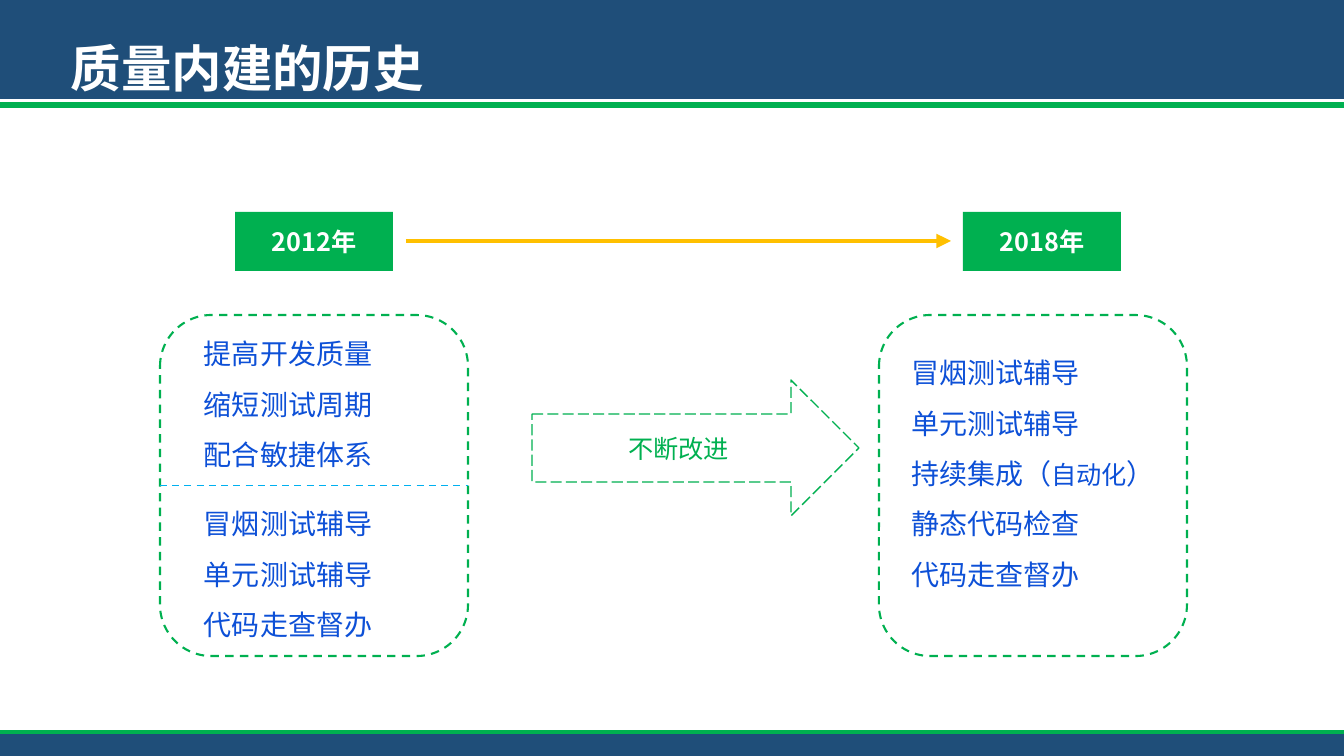
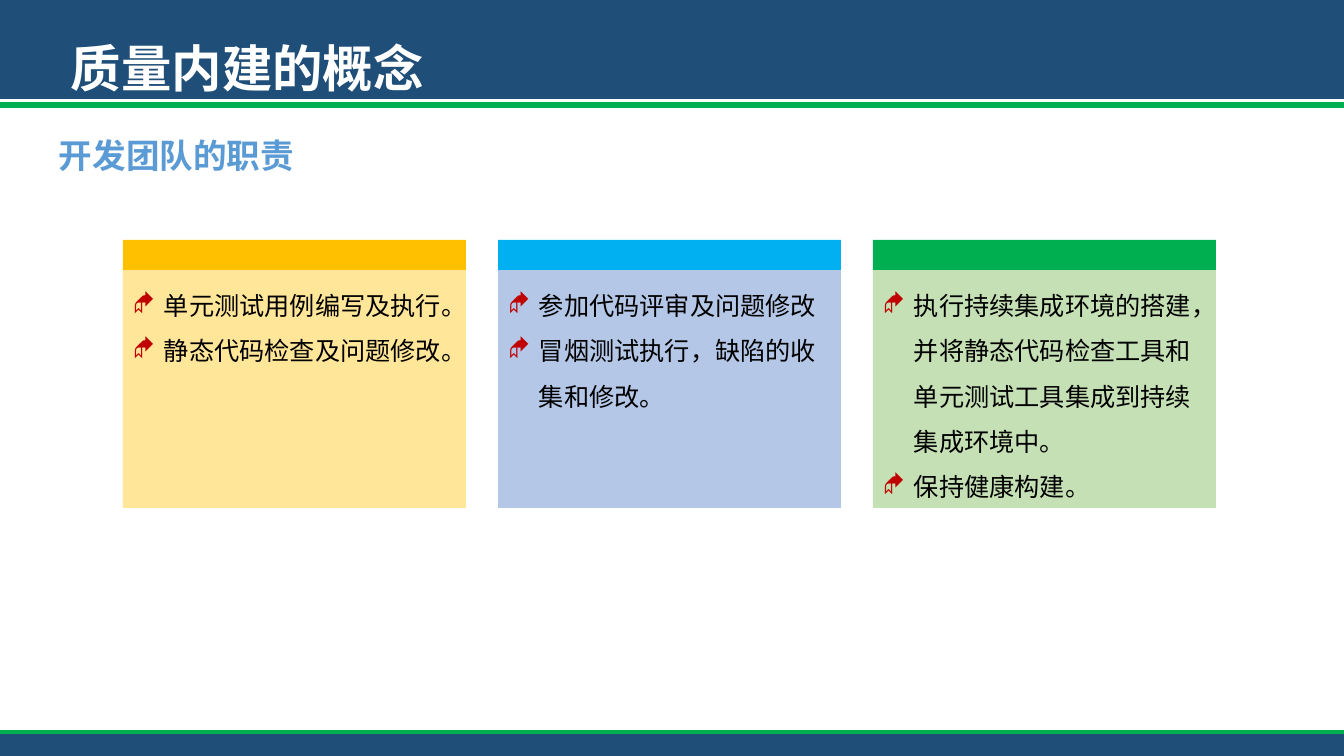
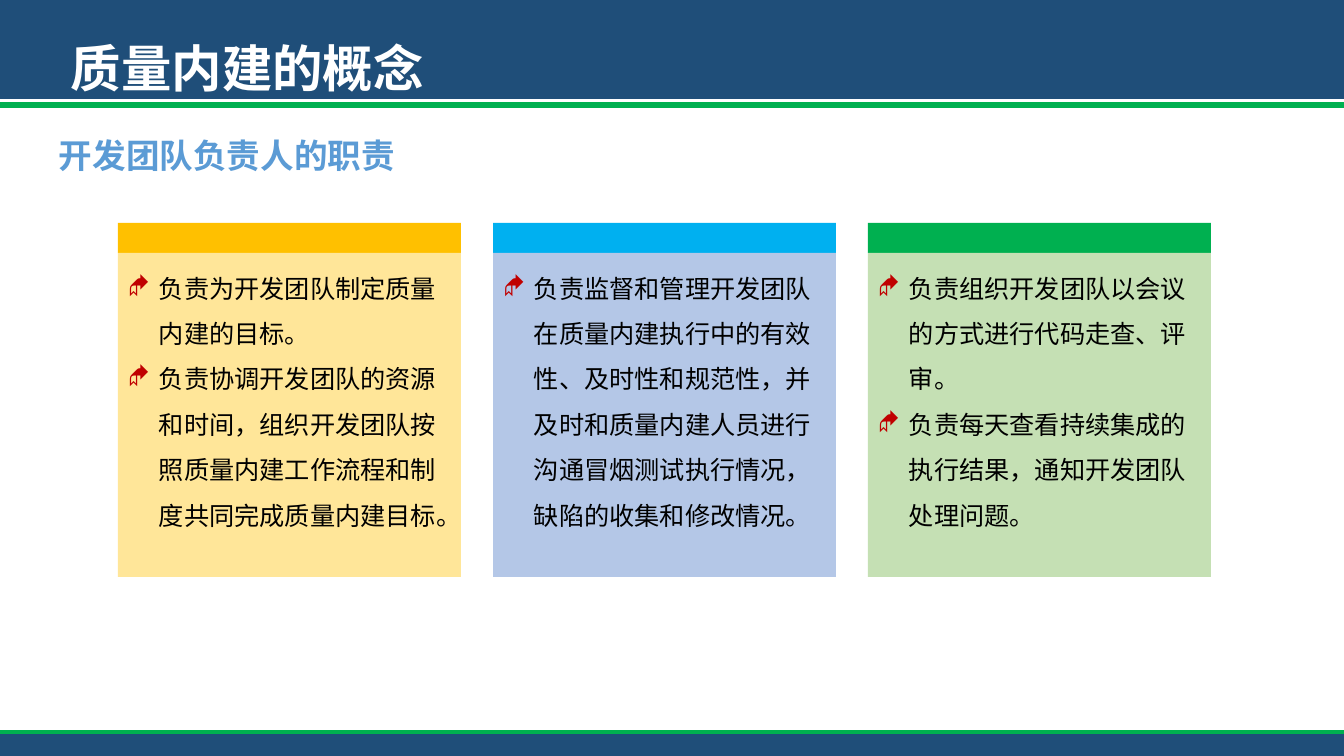
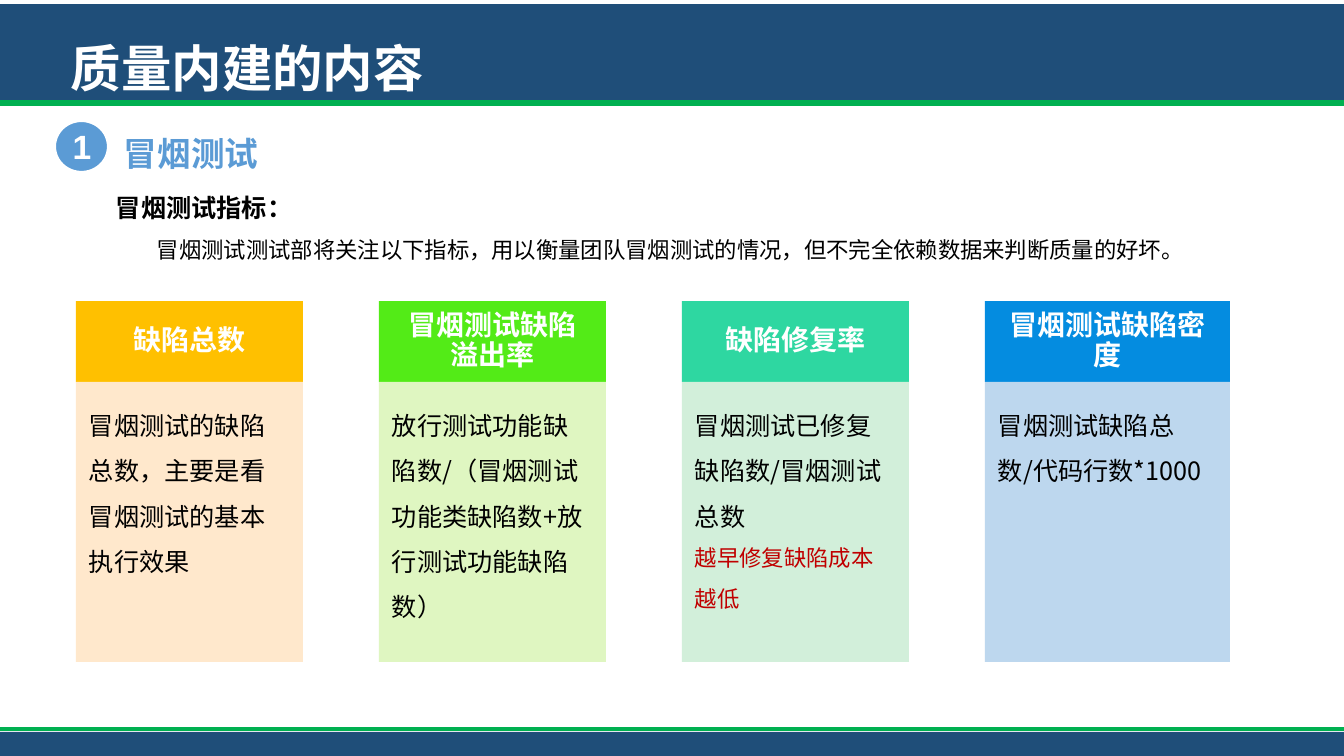
from lxml import etree
from pptx import Presentation
from pptx.dml.color import RGBColor
from pptx.enum.dml import MSO_LINE
from pptx.enum.shapes import MSO_CONNECTOR, MSO_SHAPE
from pptx.enum.text import MSO_ANCHOR, PP_ALIGN
from pptx.oxml.ns import qn
from pptx.util import Emu, Pt

RECTANGLE = MSO_SHAPE.RECTANGLE
ROUNDED = MSO_SHAPE.ROUNDED_RECTANGLE
RIGHT_ARROW = MSO_SHAPE.RIGHT_ARROW
OVAL = MSO_SHAPE.OVAL
STRAIGHT = MSO_CONNECTOR.STRAIGHT
DASH, LONG_DASH = MSO_LINE.DASH, MSO_LINE.LONG_DASH
LEFT, CENTER = PP_ALIGN.LEFT, PP_ALIGN.CENTER
TOP, MIDDLE = MSO_ANCHOR.TOP, MSO_ANCHOR.MIDDLE

PX = 914400 / 100.8
WIDTH, HEIGHT = 1344, 756
FONT = "Noto Sans CJK SC"
COLORS = {
    "navy": "1F4E79", "green": "00B050", "white": "FFFFFF", "black": "000000",
    "amber": "FFC000", "sky": "00B0F0", "blue text": "0D50D7", "heading": "5B9BD5",
    "red": "C00000", "pale amber": "FFE699", "pale blue": "B4C7E7",
    "pale green": "C5E0B4", "lime": "53EB17", "mint": "2ED7A1", "azure": "048CE0",
    "peach": "FFE8CC", "pale lime": "DFF6C1", "pale mint": "D2EFDA",
    "pale azure": "BDD7EE",
}
COLORS = {name: RGBColor.from_string(value) for name, value in COLORS.items()}


def add_box(slide, preset, bounds, paragraphs=(), size=18, color="black", bold=False,
            fill=None, outline=None, dash=None, align=LEFT, anchor=TOP, spacing=1.0,
            insets=(10, 5, 10, 5), bullets=False, font=FONT):
    bounds = [Emu(round(value * PX)) for value in bounds]
    if preset is None:
        shape = slide.shapes.add_textbox(*bounds)
    else:
        shape = slide.shapes.add_shape(preset, *bounds)
        shape.shadow.inherit = False
        if fill:
            shape.fill.solid()
            shape.fill.fore_color.rgb = COLORS[fill]
        else:
            shape.fill.background()
        if outline:
            shape.line.color.rgb = COLORS[outline[0]]
            shape.line.width = Pt(outline[1])
            shape.line.dash_style = dash
        else:
            shape.line.fill.background()
    frame = shape.text_frame
    frame.word_wrap = True
    frame.vertical_anchor = anchor
    (frame.margin_left, frame.margin_top, frame.margin_right,
     frame.margin_bottom) = [Emu(round(value * PX)) for value in insets]
    for index, runs in enumerate(paragraphs):
        paragraph = frame.add_paragraph() if index else frame.paragraphs[0]
        paragraph.alignment = align
        paragraph.line_spacing = spacing
        for text in [runs] if isinstance(runs, str) else runs:
            run = paragraph.add_run()
            run.text = text
            run.font.size = Pt(size)
            run.font.bold = bold
            run.font.color.rgb = COLORS[color]
            run.font.name = font
            etree.SubElement(run.font._element, qn("a:ea"), typeface=font)
        if bullets:
            properties = paragraph._p.get_or_add_pPr()
            properties.set("marL", str(round(31 * PX)))
            properties.set("indent", str(round(-31 * PX)))
            bullet_color = etree.SubElement(properties, qn("a:buClr"))
            etree.SubElement(bullet_color, qn("a:srgbClr"), val=str(COLORS["red"]))
            etree.SubElement(properties, qn("a:buFont"), typeface="Wingdings")
            etree.SubElement(properties, qn("a:buChar"), char="◆")
    return shape


def add_line(slide, ends, color, width):
    connector = slide.shapes.add_connector(
        STRAIGHT, *[Emu(round(value * PX)) for value in ends])
    connector.line.color.rgb = COLORS[color]
    connector.line.width = Pt(width)
    etree.SubElement(connector._element.spPr, qn("a:effectLst"))
    return connector


presentation = Presentation()
presentation.slide_width = Emu(round(WIDTH * PX))
presentation.slide_height = Emu(round(HEIGHT * PX))

slides = []
for title, band_top, header_line, footer_line, has_rule in [
    ("质量内建的历史", 0, 105, 732, False),
    ("质量内建的概念", 0, 105, 732, True),
    ("质量内建的概念", 0, 105, 732, True),
    ("质量内建的内容", 4, 103, 729, True),
]:
    slide = presentation.slides.add_slide(presentation.slide_layouts[6])
    add_box(slide, RECTANGLE, (0, band_top, WIDTH, 99), fill="navy")
    add_line(slide, (0, header_line, WIDTH, header_line), "green", 4.75)
    add_box(slide, RECTANGLE, (0, 732, WIDTH, 24), fill="navy")
    add_line(slide, (0, footer_line, WIDTH, footer_line), "green", 3.25)
    add_box(slide, None, (61, 32, 382, 72), [title], size=36, color="white", bold=True)
    if has_rule:
        add_line(slide, (49, 104, 1276, 104), "green", 2)
    slides.append(slide)

history, team_duties, leader_duties, smoke_testing = slides

for year, left in [("2012年", 235), ("2018年", 963)]:
    add_box(history, RECTANGLE, (left, 212, 158, 59), [year], color="white", bold=True,
            fill="green", align=CENTER, anchor=MIDDLE)
timeline = add_line(history, (406, 241, 951, 241), "amber", 3.5)
etree.SubElement(timeline.line._get_or_add_ln(), qn("a:tailEnd"), type="triangle")

before_panel, after_panel = [
    add_box(history, ROUNDED, (left, 315, 308, 341), outline=("green", 1.5), dash=DASH)
    for left in (160, 879)
]
divider = add_line(history, (160, 485, 468, 485), "sky", 1.25)
divider.line.dash_style = DASH
divider.begin_connect(before_panel, 1)
divider.end_connect(before_panel, 3)

goals, first_practices, later_practices = [
    add_box(history, None, bounds, lines, size=20, color="blue text", spacing=1.5)
    for bounds, lines in [
        ((194, 315, 283, 157), ["提高开发质量", "缩短测试周期", "配合敏捷体系"]),
        ((194, 485, 283, 163), ["冒烟测试辅导", "单元测试辅导", "代码走查督办"]),
        ((901, 334, 283, 316), ["冒烟测试辅导", "单元测试辅导",
                                ("持续集成（", "自动化", "）"),
                                "静态代码检查", "代码走查督办"]),
    ]
]
later_practices.text_frame.paragraphs[2].runs[1].font.size = Pt(18)
add_box(history, RIGHT_ARROW, (532, 380, 327, 136), ["不断改进"], color="green",
        outline=("green", 1), dash=LONG_DASH, align=CENTER, anchor=MIDDLE)

duty_colors = [("amber", "pale amber"), ("sky", "pale blue"), ("green", "pale green")]
for slide, heading, left, top, body_height, duties in [
    (team_duties, "开发团队的职责", 123, 240, 238, [
        ["单元测试用例编写及执行。", "静态代码检查及问题修改。"],
        ["参加代码评审及问题修改", "冒烟测试执行，缺陷的收集和修改。"],
        ["执行持续集成环境的搭建，并将静态代码检查工具和单元测试工具集成到持续集成环境中。",
         "保持健康构建。"],
    ]),
    (leader_duties, "开发团队负责人的职责", 118, 223, 324, [
        ["负责为开发团队制定质量内建的目标。",
         "负责协调开发团队的资源和时间，组织开发团队按照质量内建工作流程和制度共同完成质量内建目标。"],
        ["负责监督和管理开发团队在质量内建执行中的有效性、及时性和规范性，"
         "并及时和质量内建人员进行沟通冒烟测试执行情况，缺陷的收集和修改情况。"],
        ["负责组织开发团队以会议的方式进行代码走查、评审。",
         "负责每天查看持续集成的执行结果，通知开发团队处理问题。"],
    ]),
]:
    add_box(slide, None, (49, 110, 442, 72), [heading], size=24, color="heading",
            bold=True, spacing=1.5)
    for column, ((strong, pale), items) in enumerate(zip(duty_colors, duties)):
        column_left = left + 375 * column
        add_box(slide, RECTANGLE, (column_left, top, 343, 30), fill=strong)
        add_box(slide, RECTANGLE, (column_left, top + 30, 343, body_height), items,
                fill=pale, spacing=1.5, bullets=True)

add_box(smoke_testing, None, (114, 108, 160, 65), ["冒烟测试"], size=24,
        color="heading", bold=True, spacing=1.5)
add_box(smoke_testing, OVAL, (55, 121, 53, 51), ["1"], size=24, color="white", bold=True,
        fill="heading", outline=("white", 1.5), align=CENTER, anchor=MIDDLE, font="Arial")
introduction = add_box(
    smoke_testing, None, (106, 172, 1103, 97),
    ["冒烟测试指标：",
     "冒烟测试测试部将关注以下指标，用以衡量团队冒烟测试的情况，但不完全依赖数据来判断质量的好坏。"],
    bold=True, spacing=1.5)
explanation = introduction.text_frame.paragraphs[1]
explanation._p.get_or_add_pPr().set("indent", str(round(41 * PX)))
explanation.runs[0].font.size = Pt(16)
explanation.runs[0].font.bold = False

metric_bodies = []
for column, (name, width, strong, pale, lines) in enumerate([
    ("缺陷总数", 227, "amber", "peach",
     ["冒烟测试的缺陷总数，主要是看冒烟测试的基本执行效果"]),
    ("冒烟测试缺陷溢出率", 227, "lime", "pale lime",
     ["放行测试功能缺陷数/（冒烟测试功能类缺陷数+放行测试功能缺陷数）"]),
    ("缺陷修复率", 227, "mint", "pale mint",
     ["冒烟测试已修复缺陷数/冒烟测试总数", "越早修复缺陷成本越低"]),
    ("冒烟测试缺陷密度", 245, "azure", "pale azure",
     ["冒烟测试缺陷总数/代码行数*1000"]),
]):
    left = 76 + 303 * column
    add_box(smoke_testing, RECTANGLE, (left, 301, width, 81), [name], size=20,
            color="white", bold=True, fill=strong, align=CENTER, anchor=MIDDLE,
            spacing=0.9, insets=(17, 10, 17, 10))
    metric_bodies.append(
        add_box(smoke_testing, RECTANGLE, (left, 382, width, 280), lines, fill=pale,
                spacing=1.5, insets=(13, 13, 17, 19)))
repair_note = metric_bodies[2].text_frame.paragraphs[1].runs[0]
repair_note.font.size = Pt(16)
repair_note.font.color.rgb = COLORS["red"]

presentation.save("out.pptx")
